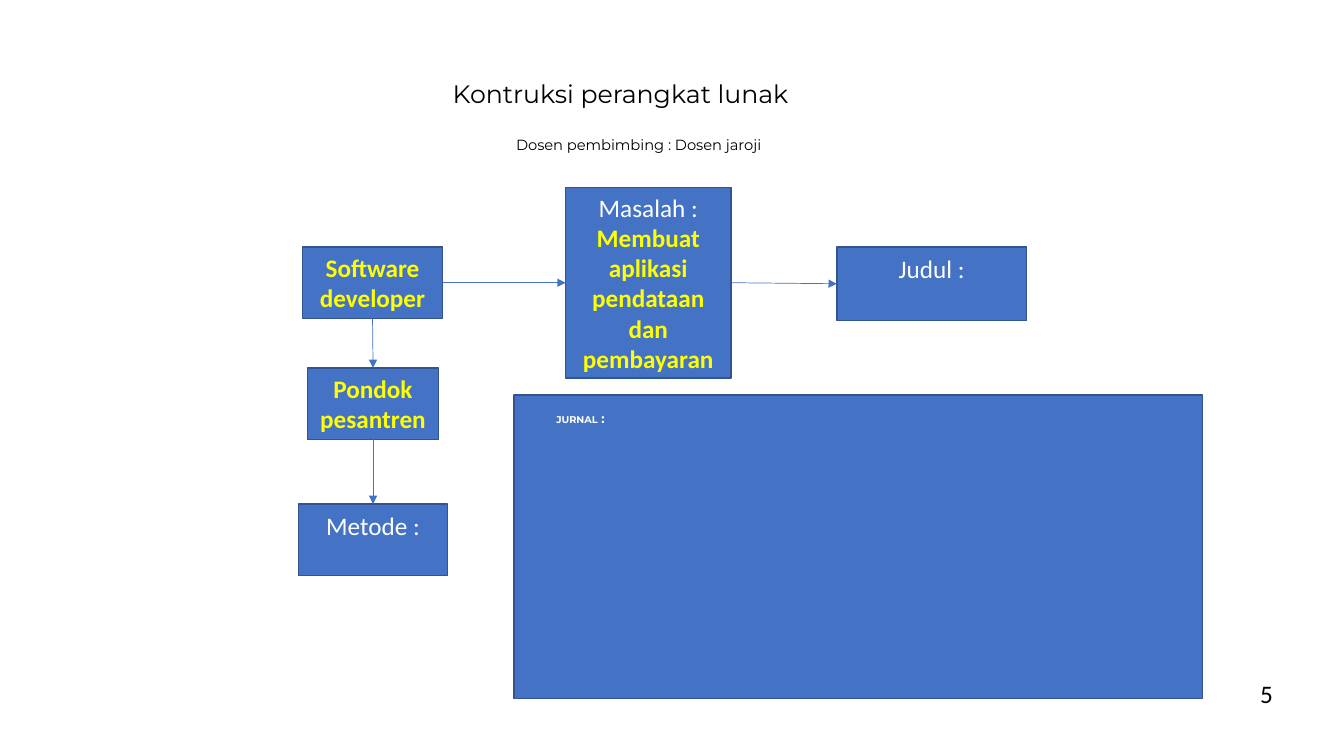
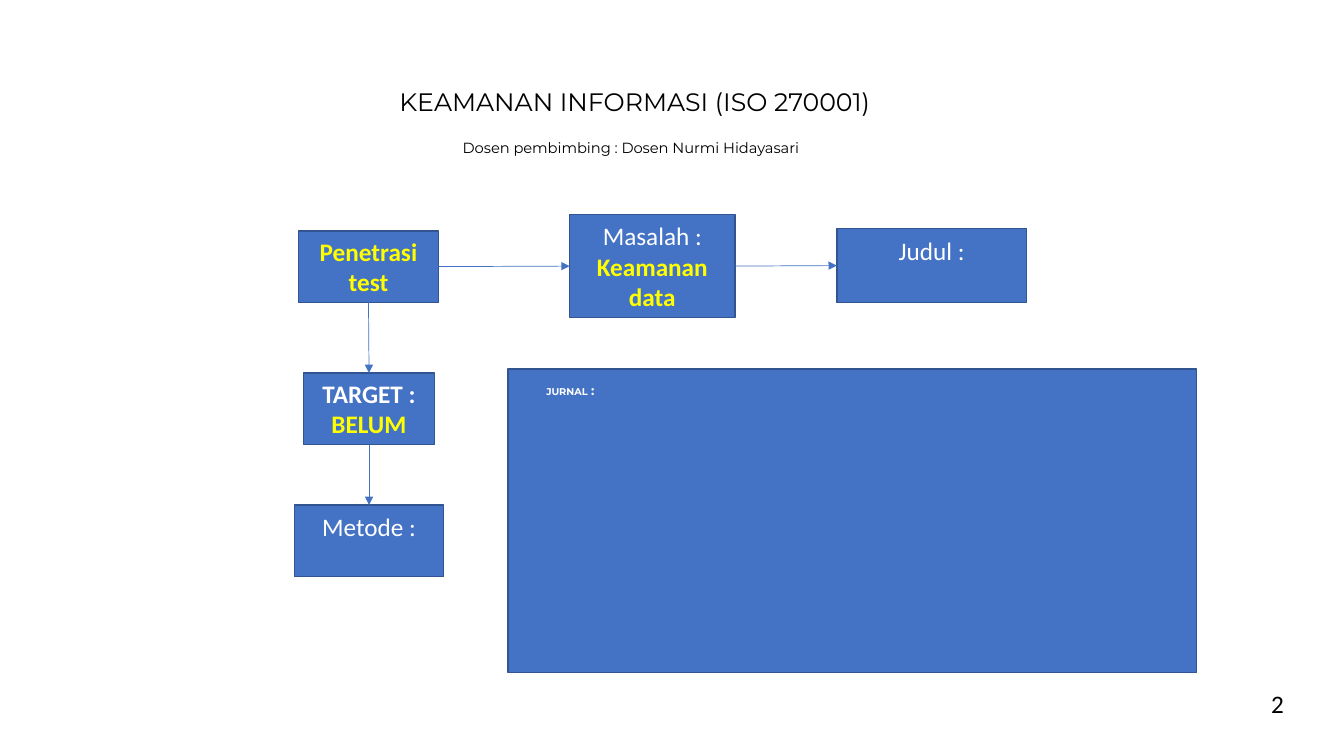
"""Build two slides that map a thesis topic from role to problem, title, target and method."""
from lxml.etree import SubElement
from pptx import Presentation
from pptx.dml.color import RGBColor
from pptx.enum.shapes import MSO_CONNECTOR, MSO_SHAPE
from pptx.enum.text import MSO_ANCHOR, MSO_AUTO_SIZE, PP_ALIGN
from pptx.oxml.ns import qn
from pptx.util import Pt

PX = 9144
BLUE = RGBColor(0x44, 0x72, 0xC4)
EDGE = RGBColor(0x32, 0x54, 0x91)
YELLOW = RGBColor(0xFF, 0xFF, 0x00)
WHITE = RGBColor(0xFF, 0xFF, 0xFF)
BLACK = RGBColor(0x00, 0x00, 0x00)

LABEL = dict(name="Calibri", size=Pt(18), bold=False, rgb=WHITE)
STRONG = LABEL | dict(bold=True)
ANSWER = STRONG | dict(rgb=YELLOW)
NUMBER = LABEL | dict(rgb=BLACK)
TITLE = NUMBER | dict(name="Montserrat")
ADVISOR = TITLE | dict(size=Pt(10.5))
JOURNAL = STRONG | dict(name="Montserrat", size=Pt(7))
COLON = JOURNAL | dict(size=Pt(9))

BOX_FRAME = dict(word_wrap=True, vertical_anchor=MSO_ANCHOR.MIDDLE)
OPEN_FRAME = dict(word_wrap=True, vertical_anchor=MSO_ANCHOR.TOP, margin_top=6 * PX)
TEXT_FRAME = dict(word_wrap=True, vertical_anchor=MSO_ANCHOR.TOP,
                  auto_size=MSO_AUTO_SIZE.NONE)

ARROWS = [("role", 2, "target", 0), ("role", 3, "problem", 1),
          ("problem", 3, "heading", 1), ("target", 2, "method", 0)]

SLIDES = [
    dict(title=("Kontruksi perangkat lunak", 439, 73, 388),
         advisor=("Dosen pembimbing : Dosen jaroji", 502, 130, 283),
         number=("5", 1240, 668), center=370, tops=(245, 365, 500),
         problem=(561, 189), heading=245, journal=(510, 392), label=(542, 403),
         role=[("Software developer", ANSWER)],
         target=[("Pondok pesantren", ANSWER)],
         issue="Membuat aplikasi pendataan dan pembayaran"),
    dict(title=("KEAMANAN INFORMASI (ISO 270001)", 386, 81, 539),
         advisor=("Dosen pembimbing : Dosen Nurmi Hidayasari", 449, 133, 381),
         number=("2", 1251, 678), center=366, tops=(229, 370, 501),
         problem=(565, 102), heading=227, journal=(504, 366), label=(532, 375),
         role=[("Penetrasi test", ANSWER)],
         target=[("TARGET :", STRONG), ("BELUM", ANSWER)],
         issue="Keamanan data"),
]


def write(shape, paragraphs, frame, align):
    tf = shape.text_frame
    for key, value in frame.items():
        setattr(tf, key, value)
    for i, runs in enumerate(paragraphs):
        p = tf.add_paragraph() if i else tf.paragraphs[0]
        p.alignment = align
        for text, fmt in runs:
            r = p.add_run()
            r.text = text
            for key, value in fmt.items():
                setattr(r.font.color if key == "rgb" else r.font, key, value)


def add_box(s, x, y, w, h):
    sp = s.shapes.add_shape(MSO_SHAPE.RECTANGLE, x * PX, y * PX, w * PX, h * PX)
    sp.shadow.inherit = False
    sp.fill.solid()
    sp.fill.fore_color.rgb = BLUE
    sp.line.color.rgb = EDGE
    sp.line.width = Pt(1)
    return sp


prs = Presentation()
prs.slide_width, prs.slide_height = 1333 * PX, 750 * PX

for data in SLIDES:
    s = prs.slides.add_slide(prs.slide_layouts[5])
    text, x, y, w = data["title"]
    title = s.shapes.title
    place = dict(left=x, top=y, width=w, height=40)
    for key, value in place.items():
        setattr(title, key, value * PX)
    write(title, [[(text, TITLE)]], TEXT_FRAME, PP_ALIGN.LEFT)

    cx = data["center"]
    role_y, target_y, method_y = data["tops"]
    problem_x, problem_h = data["problem"]
    problem_y = role_y + (71 - problem_h) // 2
    boxes = {}
    for name, x, y, w, h, lines, frame in [
        ("role", cx - 70, role_y, 139, 71, data["role"], BOX_FRAME),
        ("target", cx - 65, target_y, 130, 71, data["target"], BOX_FRAME),
        ("method", cx - 74, method_y, 148, 71, [("Metode :", LABEL)], OPEN_FRAME),
        ("problem", problem_x, problem_y, 164, problem_h,
         [("Masalah :", LABEL), (data["issue"], ANSWER)], BOX_FRAME),
        ("heading", 830, data["heading"], 188, 73, [("Judul :", LABEL)], OPEN_FRAME),
    ]:
        boxes[name] = add_box(s, x, y, w, h)
        write(boxes[name], [[line] for line in lines], frame, PP_ALIGN.CENTER)

    for start, start_site, end, end_site in ARROWS:
        arrow = s.shapes.add_connector(MSO_CONNECTOR.STRAIGHT, 0, 0, 0, 0)
        arrow.begin_connect(boxes[start], start_site)
        arrow.end_connect(boxes[end], end_site)
        arrow.line.color.rgb = BLUE
        arrow.line.width = Pt(0.5)
        SubElement(arrow.line._get_or_add_ln(), qn("a:tailEnd"), type="triangle")
        SubElement(arrow._element.spPr, qn("a:effectLst"))

    add_box(s, *data["journal"], 683, 301)
    advisor, advisor_x, advisor_y, advisor_w = data["advisor"]
    number, number_x, number_y = data["number"]
    for x, y, w, h, runs in [
        (advisor_x, advisor_y, advisor_w, 28, [(advisor, ADVISOR)]),
        (number_x, number_y, 33, 40, [(number, NUMBER)]),
        (*data["label"], 80, 25, [("JURNAL", JOURNAL), (" :", COLON)]),
    ]:
        tb = s.shapes.add_textbox(x * PX, y * PX, w * PX, h * PX)
        write(tb, [runs], TEXT_FRAME, PP_ALIGN.LEFT)

prs.save("out.pptx")
